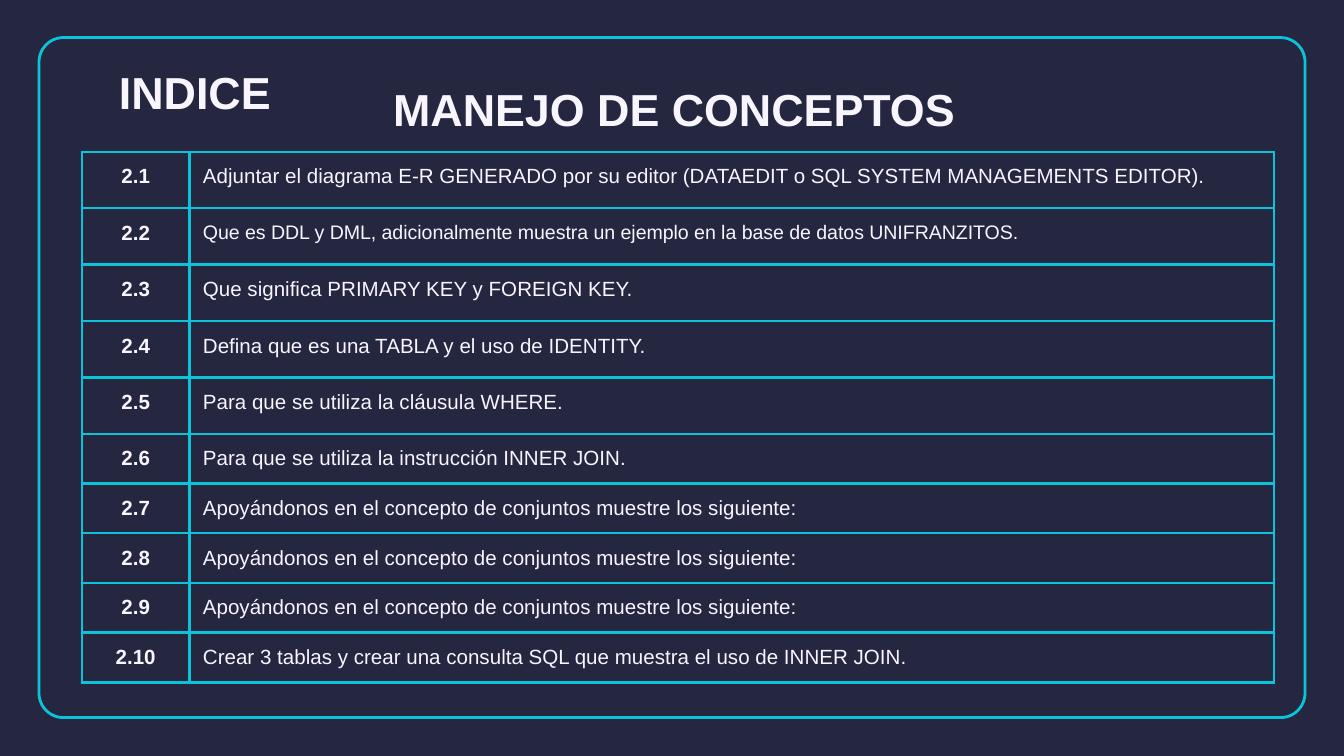
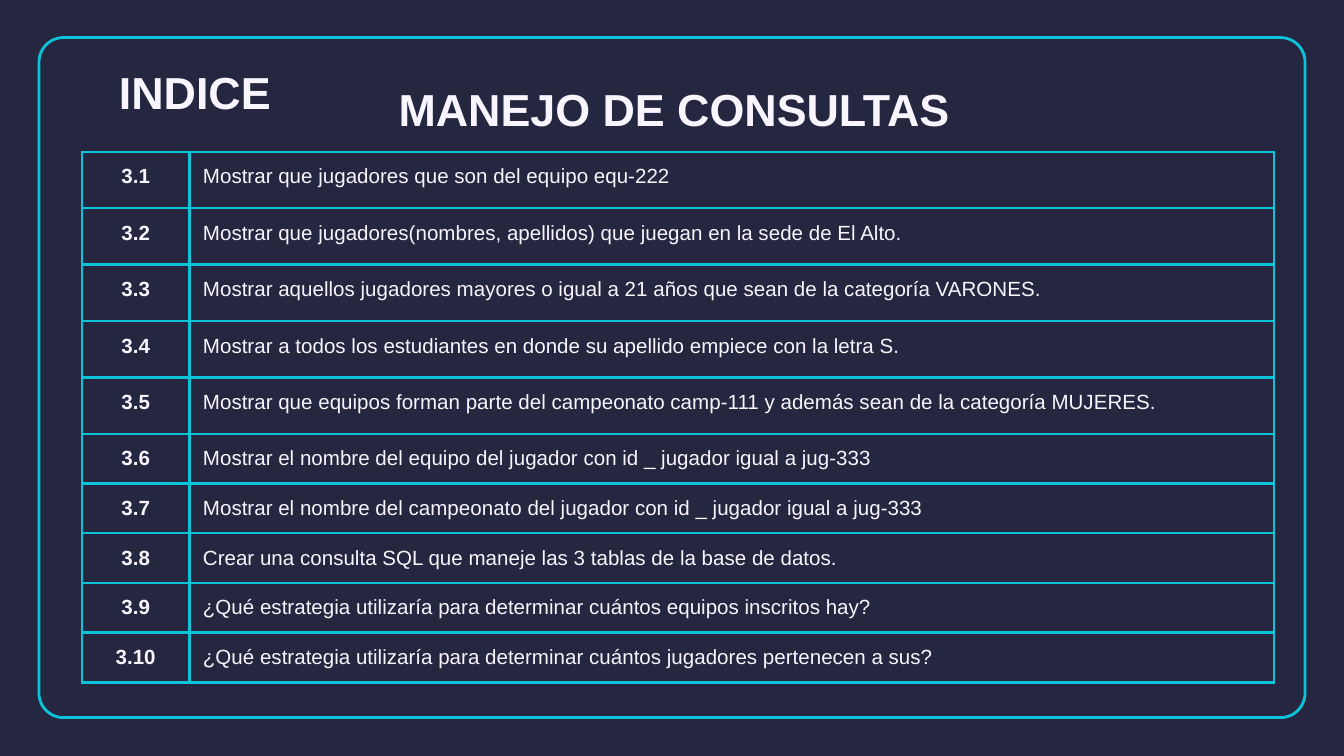
from lxml.etree import SubElement
from pptx import Presentation
from pptx.dml.color import RGBColor
from pptx.enum.shapes import MSO_SHAPE
from pptx.enum.text import MSO_ANCHOR, PP_ALIGN
from pptx.oxml.ns import qn
from pptx.util import Inches, Pt

COLORS = {"background": "252640", "accent": "0BC4D9", "text": "F8F5FF"}
FONT = "Arial"
LINE_WIDTH = Pt(1.5)
MARGIN = Inches(0.1)
CELL_BOTTOM_MARGIN = Inches(0.08)
FRAME_BOX = (0.29, 0.28, 9.42, 5.06)
LABEL_BOX = (0.77, 0.37, 1.36, 0.63)
HEADING_BOX = (0.8, 0.49, 8.43, 0.63)
TABLE_BOX = (0.61, 1.13, 8.87, 3.95)
NUMBER_WIDTH = 0.8
ROW_HEIGHTS = [0.42] * 5 + [0.37] * 5
SPACE_AFTER = 16
TEXT_SIZE = 11
SMALL_SIZES = {"2.2": 10.5}
UNSPACED_ROW = 9

SECTIONS = [
    (2, "MANEJO DE CONCEPTOS", [
        "Adjuntar el diagrama E-R GENERADO por su editor (DATAEDIT o SQL SYSTEM MANAGEMENTS EDITOR).",
        "Que es DDL y DML, adicionalmente muestra un ejemplo en la base de datos UNIFRANZITOS.",
        "Que significa PRIMARY KEY y FOREIGN KEY.",
        "Defina que es una TABLA y el uso de IDENTITY.",
        "Para que se utiliza la cláusula WHERE.",
        "Para que se utiliza la instrucción INNER JOIN.",
        *["Apoyándonos en el concepto de conjuntos muestre los siguiente:"] * 3,
        "Crear 3 tablas y crear una consulta SQL que muestra el uso de INNER JOIN.",
    ]),
    (3, "MANEJO DE CONSULTAS", [
        "Mostrar que jugadores que son del equipo equ-222",
        "Mostrar que jugadores(nombres, apellidos) que juegan en la sede de El Alto.",
        "Mostrar aquellos jugadores mayores o igual a 21 años que sean de la categoría VARONES.",
        "Mostrar a todos los estudiantes en donde su apellido empiece con la letra S.",
        "Mostrar que equipos forman parte del campeonato camp-111 y además sean de la categoría MUJERES.",
        "Mostrar el nombre del equipo del jugador con id _ jugador igual a jug-333",
        "Mostrar el nombre del campeonato del jugador con id _ jugador igual a jug-333",
        "Crear una consulta SQL que maneje las 3 tablas de la base de datos.",
        "¿Qué estrategia utilizaría para determinar cuántos equipos inscritos hay?",
        "¿Qué estrategia utilizaría para determinar cuántos jugadores pertenecen a sus?",
    ]),
]


def color(name):
    """Return the named palette colour."""
    return RGBColor.from_string(COLORS[name])


def to_inches(box):
    """Convert a box of numbers to lengths."""
    return [Inches(value) for value in box]


def set_margins(target, bottom=MARGIN):
    """Set the inner margins of a text frame or cell."""
    target.margin_left = target.margin_right = target.margin_top = MARGIN
    target.margin_bottom = bottom


def write_paragraph(paragraph, text, size, bold=False, align=PP_ALIGN.LEFT):
    """Write one line of text in the shared font and colour."""
    paragraph.text = text
    paragraph.alignment = align
    font = paragraph.font
    font.name = FONT
    font.size = Pt(size)
    font.bold = bold
    font.color.rgb = color("text")


def add_frame(slide, box):
    """Draw the rounded outline around the content."""
    shape = slide.shapes.add_shape(MSO_SHAPE.ROUNDED_RECTANGLE, *to_inches(box))
    shape.adjustments[0] = 0.036
    shape.shadow.inherit = False
    shape.fill.background()
    shape.line.color.rgb = color("accent")
    shape.line.width = LINE_WIDTH


def add_title(slide, box, text):
    """Place a bold centred title in the box."""
    frame = slide.shapes.add_textbox(*to_inches(box)).text_frame
    frame.word_wrap = True
    frame.vertical_anchor = MSO_ANCHOR.MIDDLE
    set_margins(frame)
    write_paragraph(frame.paragraphs[0], text, 24, True, PP_ALIGN.CENTER)


def style_cell(cell):
    """Outline a cell and leave it unfilled."""
    properties = cell._tc.get_or_add_tcPr()
    for side in ("a:lnL", "a:lnR", "a:lnT", "a:lnB"):
        line = SubElement(properties, qn(side), w=str(LINE_WIDTH))
        fill = SubElement(line, qn("a:solidFill"))
        SubElement(fill, qn("a:srgbClr"), val=COLORS["accent"])
    cell.fill.background()
    set_margins(cell, CELL_BOTTOM_MARGIN)


def add_index_table(slide, box, section, topics):
    """Build the table of numbered topics."""
    table = slide.shapes.add_table(len(topics), 2, *to_inches(box)).table
    table.first_row = table.horz_banding = False
    table.columns[0].width = Inches(NUMBER_WIDTH)
    table.columns[1].width = Inches(box[2] - NUMBER_WIDTH)
    for index, (topic, height) in enumerate(zip(topics, ROW_HEIGHTS), 1):
        row = table.rows[index - 1]
        row.height = Inches(height)
        number_cell, topic_cell = row.cells
        style_cell(number_cell)
        style_cell(topic_cell)
        number = f"{section}.{index}"
        write_paragraph(number_cell.text_frame.paragraphs[0], number,
                        TEXT_SIZE, True, PP_ALIGN.CENTER)
        paragraph = topic_cell.text_frame.paragraphs[0]
        write_paragraph(paragraph, topic, SMALL_SIZES.get(number, TEXT_SIZE))
        if index != UNSPACED_ROW:
            paragraph.space_after = Pt(SPACE_AFTER)


def add_index_slide(presentation, section, heading, topics):
    """Add one index slide for a section."""
    slide = presentation.slides.add_slide(presentation.slide_layouts[6])
    slide.background.fill.solid()
    slide.background.fill.fore_color.rgb = color("background")
    add_frame(slide, FRAME_BOX)
    add_title(slide, LABEL_BOX, "INDICE")
    add_index_table(slide, TABLE_BOX, section, topics)
    add_title(slide, HEADING_BOX, heading)


def main():
    """Build and save the presentation."""
    presentation = Presentation()
    presentation.slide_width = Inches(10)
    presentation.slide_height = presentation.slide_width * 9 // 16
    for section, heading, topics in SECTIONS:
        add_index_slide(presentation, section, heading, topics)
    presentation.save("out.pptx")


if __name__ == "__main__":
    main()
